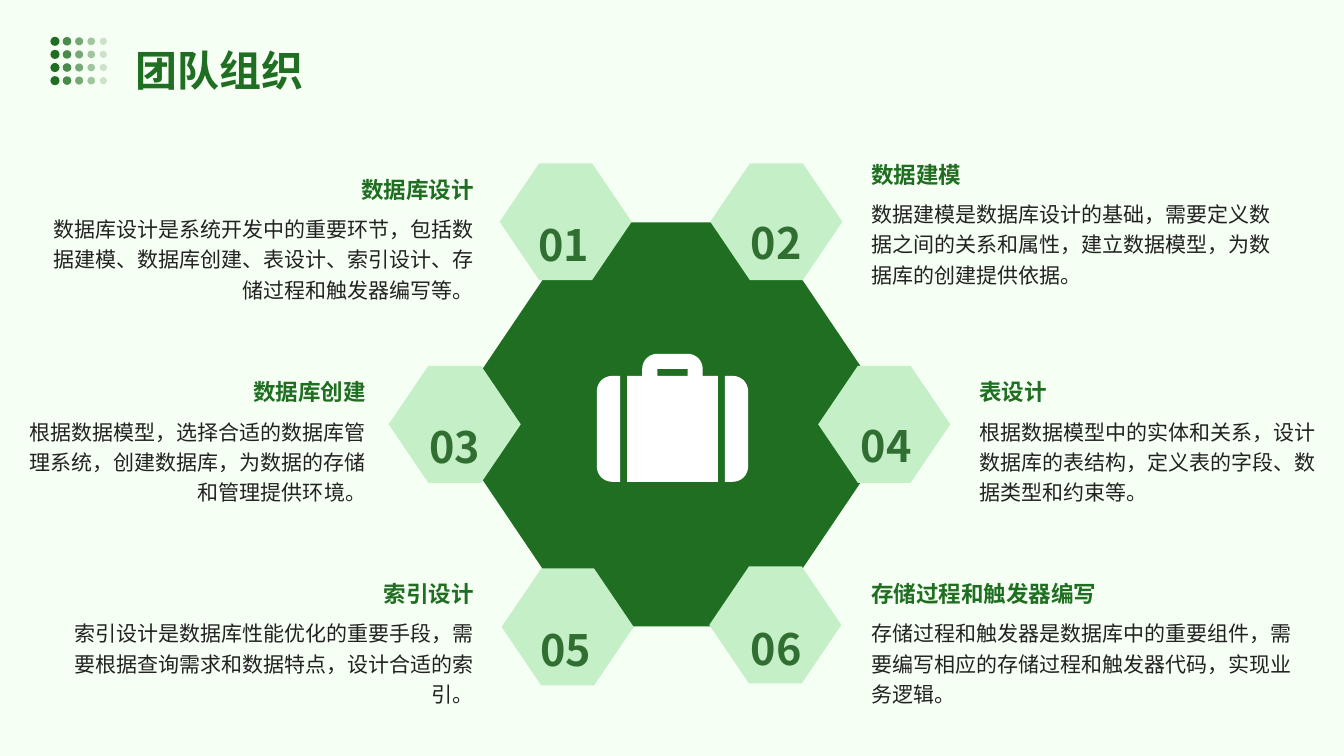
from math import cos, pi, sin
from lxml.etree import SubElement
from pptx import Presentation
from pptx.dml.color import RGBColor
from pptx.enum.shapes import MSO_SHAPE
from pptx.enum.text import MSO_ANCHOR, MSO_AUTO_SIZE, PP_ALIGN
from pptx.oxml.ns import qn
from pptx.util import Inches, Pt

BACKGROUND = RGBColor(0xF6, 0xFF, 0xF4)
DARK_GREEN = RGBColor(0x1F, 0x6E, 0x21)
NUMBER_GREEN = RGBColor(0x30, 0x6F, 0x31)
LIGHT_GREEN = RGBColor(0xC5, 0xEF, 0xC6)
BODY_GRAY = RGBColor(0x22, 0x22, 0x22)
WHITE = RGBColor(0xFF, 0xFF, 0xFF)
FONT = "Noto Sans CJK SC"

# number, hexagon centre, number centre, text (left, top, width), alignment, title, body
TOPICS = [
    ("01", (5.61, 2.2), (5.55, 2.2), (0.33, 1.47, 4.43), PP_ALIGN.RIGHT, "数据库设计",
     "数据库设计是系统开发中的重要环节，包括数据建模、数据库创建、表设计、索引设计、存储过程和触发器编写等。"),
    ("02", (7.7, 2.2), (7.66, 2.18), (8.5, 1.32, 4.27), PP_ALIGN.LEFT, "数据建模",
     "数据建模是数据库设计的基础，需要定义数据之间的关系和属性，建立数据模型，为数据库的创建提供依据。"),
    ("03", (4.51, 4.21), (4.47, 4.21), (0.08, 3.48, 3.61), PP_ALIGN.RIGHT, "数据库创建",
     "根据数据模型，选择合适的数据库管理系统，创建数据库，为数据的存储和管理提供环境。"),
    ("04", (8.77, 4.21), (8.75, 4.2), (9.57, 3.48, 3.61), PP_ALIGN.LEFT, "表设计",
     "根据数据模型中的实体和关系，设计数据库的表结构，定义表的字段、数据类型和约束等。"),
    ("05", (5.63, 6.22), (5.57, 6.22), (0.5, 5.48, 4.26), PP_ALIGN.RIGHT, "索引设计",
     "索引设计是数据库性能优化的重要手段，需要根据查询需求和数据特点，设计合适的索引。"),
    ("06", (7.69, 6.2), (7.66, 6.21), (8.5, 5.48, 4.37), PP_ALIGN.LEFT, "存储过程和触发器编写",
     "存储过程和触发器是数据库中的重要组件，需要编写相应的存储过程和触发器代码，实现业务逻辑。"),
]


def paint(shape, color):
    shape.shadow.inherit = False
    shape.fill.solid()
    shape.fill.fore_color.rgb = color
    shape.line.fill.background()


def add_outline(slide, contours, color):
    """Draw closed contours, given in inches, as one filled shape."""
    builder = None
    for contour in contours:
        points = [(Inches(x), Inches(y)) for x, y in contour]
        if builder is None:
            builder = slide.shapes.build_freeform(*points[0], scale=1.0)
        else:
            builder.move_to(*points[0])
        builder.add_line_segments(points[1:], close=True)
    paint(builder.convert_to_shape(), color)


def add_text(slide, box, text, size, color, bold=True, spacing=1.5,
             align=PP_ALIGN.LEFT, anchor=MSO_ANCHOR.TOP, before=0):
    shape = slide.shapes.add_textbox(*(Inches(length) for length in box))
    frame = shape.text_frame
    frame.word_wrap = True
    frame.auto_size = MSO_AUTO_SIZE.SHAPE_TO_FIT_TEXT
    frame.vertical_anchor = anchor
    frame.margin_left = frame.margin_top = frame.margin_bottom = Inches(0.14)
    frame.margin_right = Inches(0.06)
    paragraph = frame.paragraphs[0]
    paragraph.alignment = align
    paragraph.line_spacing = spacing
    paragraph.space_before = Pt(before)
    run = paragraph.add_run()
    run.text = text
    run.font.size = Pt(size)
    run.font.bold = bold
    run.font.color.rgb = color
    run.font.name = FONT
    # East Asian typeface
    SubElement(run.font._element, qn("a:ea"), typeface=FONT)


def add_hexagon(slide, center, width, height, color):
    x, y = center
    half, rise, top = width / 2, height / 2, width * 0.2
    add_outline(slide, [[(x - half, y), (x - top, y - rise), (x + top, y - rise),
                         (x + half, y), (x + top, y + rise), (x - top, y + rise)]], color)


def round_corners(corners):
    """Turn (x, y, radius) right-angled corners into points along the outline."""
    points = []
    for index, (x, y, radius) in enumerate(corners):
        if not radius:
            points.append((x, y))
            continue
        directions = []
        for other in (corners[index - 1], corners[(index + 1) % len(corners)]):
            dx, dy = other[0] - x, other[1] - y
            length = abs(dx) + abs(dy)
            directions.append((dx / length, dy / length))
        (back_x, back_y), (next_x, next_y) = directions
        for step in range(9):
            angle = step * pi / 16
            along, across = radius * (1 - cos(angle)), radius * (1 - sin(angle))
            points.append((x + next_x * along + back_x * across,
                           y + next_y * along + back_y * across))
    return points


def add_briefcase(slide, left, top):
    corner = 0.15
    middle = [(0.3, 0.22, 0), (0.45, 0.22, 0), (0.45, 0, corner), (1.05, 0, corner),
              (1.05, 0.22, 0), (1.2, 0.22, 0), (1.2, 1.27, 0), (0.3, 1.27, 0)]
    handle_hole = [(0.6, 0.15, 0), (0.6, 0.22, 0), (0.9, 0.22, 0), (0.9, 0.15, 0)]
    right_end = [(1.27, 0.22, 0), (1.5, 0.22, corner), (1.5, 1.27, corner), (1.27, 1.27, 0)]
    left_end = [(1.5 - x, y, radius) for x, y, radius in reversed(right_end)]
    contours = [[(left + x, top + y) for x, y in round_corners(part)]
                for part in (middle, handle_hole, right_end, left_end)]
    add_outline(slide, contours, WHITE)


def add_topic(slide, number, hexagon_center, number_center, text_box, align, title, body):
    add_hexagon(slide, hexagon_center, 1.31, 1.16, LIGHT_GREEN)
    x, y = number_center
    add_text(slide, (x - 0.7, y - 0.63, 1.4, 1.26), number, 30.8, NUMBER_GREEN, spacing=1.86,
             align=PP_ALIGN.CENTER, anchor=MSO_ANCHOR.MIDDLE, before=4.5)
    left, top, width = text_box
    add_text(slide, (left, top, width, 0.8), title, 16.1, DARK_GREEN, align=align)
    add_text(slide, (left, top + 0.49, width, 1.21), body, 15, BODY_GRAY, bold=False,
             spacing=1.2, align=align)


def add_header(slide, left, top, title):
    # Dot grid fading to the right
    for row in range(4):
        for column in range(5):
            size = 0.09 - 0.005 * column
            shape = slide.shapes.add_shape(
                MSO_SHAPE.OVAL, Inches(left + 0.045 + 0.12 * column - size / 2),
                Inches(top + 0.05 + 0.13 * row - size / 2), Inches(size), Inches(size))
            paint(shape, DARK_GREEN)
            if column:
                color = shape._element.spPr.find(qn("a:solidFill"))[0]
                SubElement(color, qn("a:alpha"), val=str(100000 - 20000 * column))
    add_text(slide, (left + 0.7, top - 0.26, 10.94, 1), title, 30, DARK_GREEN, spacing=1.4)


def main():
    presentation = Presentation()
    presentation.slide_width = Inches(13.33)
    presentation.slide_height = Inches(7.5)
    slide = presentation.slides.add_slide(presentation.slide_layouts[6])
    slide.background.fill.solid()
    slide.background.fill.fore_color.rgb = BACKGROUND

    add_header(slide, 0.5, 0.36, "团队组织")
    # Central hexagon, then the six topics around it
    add_hexagon(slide, (6.67, 4.21), 4.51, 4.01, DARK_GREEN)
    for topic in TOPICS:
        add_topic(slide, *topic)
    add_briefcase(slide, 5.92, 3.51)
    presentation.save("out.pptx")


if __name__ == "__main__":
    main()
